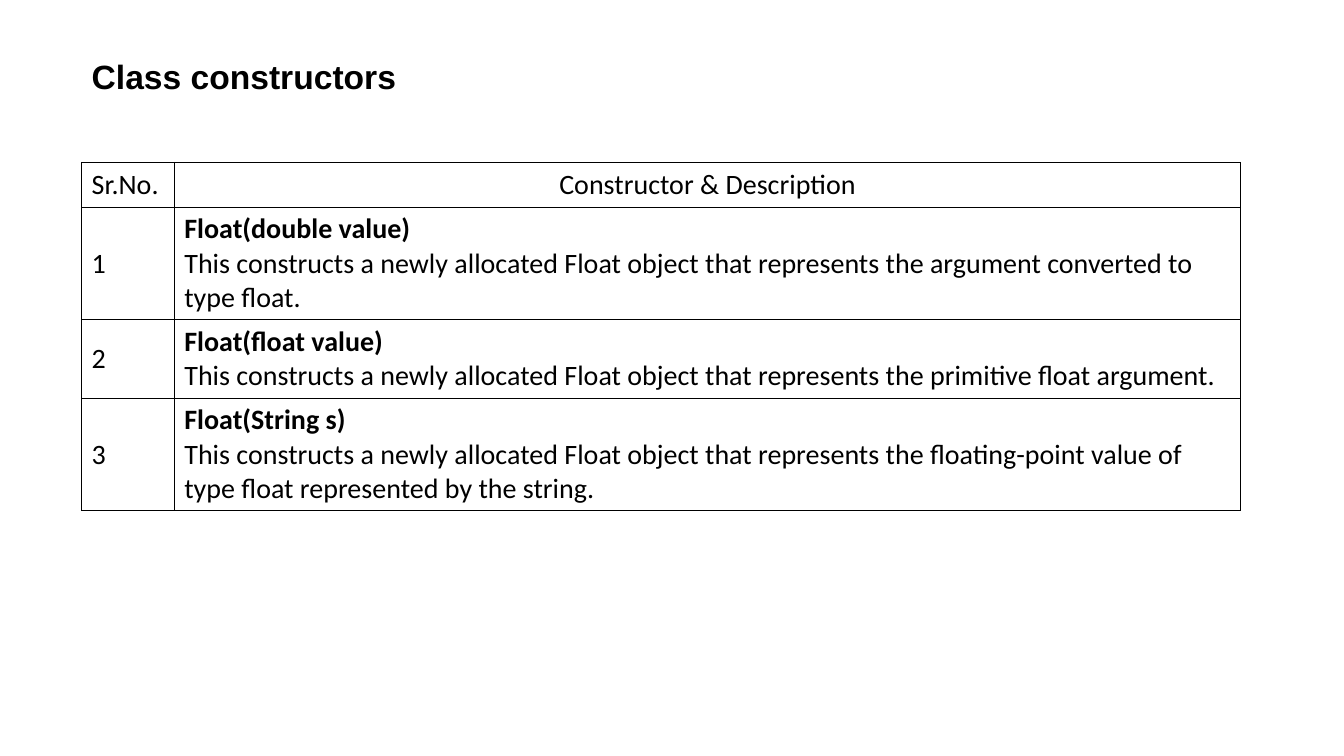
from lxml import etree
from pptx import Presentation
from pptx.dml.color import RGBColor
from pptx.enum import text
from pptx.oxml import ns
from pptx.util import Pt

COLORS = {"ink": "000000", "paper": "FFFFFF"}
LEFT = 58.3
CONSTRUCTORS = [
    ("Float(double value)",
     "This constructs a newly allocated Float object that represents "
     "the argument converted to type float."),
    ("Float(float value)",
     "This constructs a newly allocated Float object that represents "
     "the primitive float argument."),
    ("Float(String s)",
     "This constructs a newly allocated Float object that represents "
     "the floating-point value of type float represented by the string."),
]


def write(paragraph, content, *, font="Calibri", size=20, bold=False,
          align=text.PP_ALIGN.LEFT, color="ink"):
    """Put formatted text into a paragraph."""
    paragraph.alignment = align
    run = paragraph.add_run()
    run.text = content
    run.font.name = font
    run.font.size = Pt(size)
    run.font.bold = bold
    run.font.color.rgb = RGBColor.from_string(COLORS[color])


class SlideBuilder:
    """Hold the style and the current slide."""

    def __init__(self, presentation):
        """Add a title-only slide."""
        self.slide = presentation.slides.add_slide(presentation.slide_layouts[5])
        self.border_width = Pt(1)

    def title(self, content, left, top, width, height):
        """Place and format the title."""
        shape = self.slide.shapes.title
        shape.left, shape.top = Pt(left), Pt(top)
        shape.width, shape.height = Pt(width), Pt(height)
        frame = shape.text_frame
        frame.word_wrap = True
        frame.auto_size = text.MSO_AUTO_SIZE.SHAPE_TO_FIT_TEXT
        frame.vertical_anchor = text.MSO_ANCHOR.MIDDLE
        write(frame.paragraphs[0], content, font="Arial", size=24, bold=True)

    def border(self, cell):
        """Draw all four sides of a cell."""
        properties = cell._tc.get_or_add_tcPr()
        for side in ("a:lnL", "a:lnR", "a:lnT", "a:lnB"):
            line = etree.SubElement(properties, ns.qn(side), w=str(self.border_width))
            fill = etree.SubElement(line, ns.qn("a:solidFill"))
            etree.SubElement(fill, ns.qn("a:srgbClr"), val=COLORS["ink"])

    def cell(self, cell, *lines, **style):
        """Fill a cell; the first of several lines is a bold heading."""
        self.border(cell)
        cell.fill.solid()
        cell.fill.fore_color.rgb = RGBColor.from_string(COLORS["paper"])
        cell.vertical_anchor = text.MSO_ANCHOR.MIDDLE
        frame = cell.text_frame
        for index, line in enumerate(lines):
            paragraph = frame.add_paragraph() if index else frame.paragraphs[0]
            write(paragraph, line, bold=index == 0 and len(lines) > 1, **style)

    def table(self, left, top, widths, heights):
        """Add an unbanded table with the given columns and rows."""
        table = self.slide.shapes.add_table(
            len(heights), len(widths), Pt(left), Pt(top),
            Pt(sum(widths)), Pt(sum(heights))).table
        table.first_row = table.horz_banding = False
        for column, width in zip(table.columns, widths):
            column.width = Pt(width)
        for row, height in zip(table.rows, heights):
            row.height = Pt(height)
        return table


def main():
    """Build and save the presentation."""
    presentation = Presentation()
    presentation.slide_width, presentation.slide_height = Pt(960), Pt(540)
    builder = SlideBuilder(presentation)
    builder.title("Class constructors", LEFT, 36, 383, 36)
    table = builder.table(LEFT, 116, (66.2, 761.8), (32, 80.5, 56, 80.5))
    builder.cell(table.cell(0, 0), "Sr.No.")
    builder.cell(table.cell(0, 1), "Constructor & Description",
                 align=text.PP_ALIGN.CENTER)
    for number, constructor in enumerate(CONSTRUCTORS, 1):
        builder.cell(table.cell(number, 0), str(number))
        builder.cell(table.cell(number, 1), *constructor)
    presentation.save("out.pptx")


if __name__ == "__main__":
    main()
